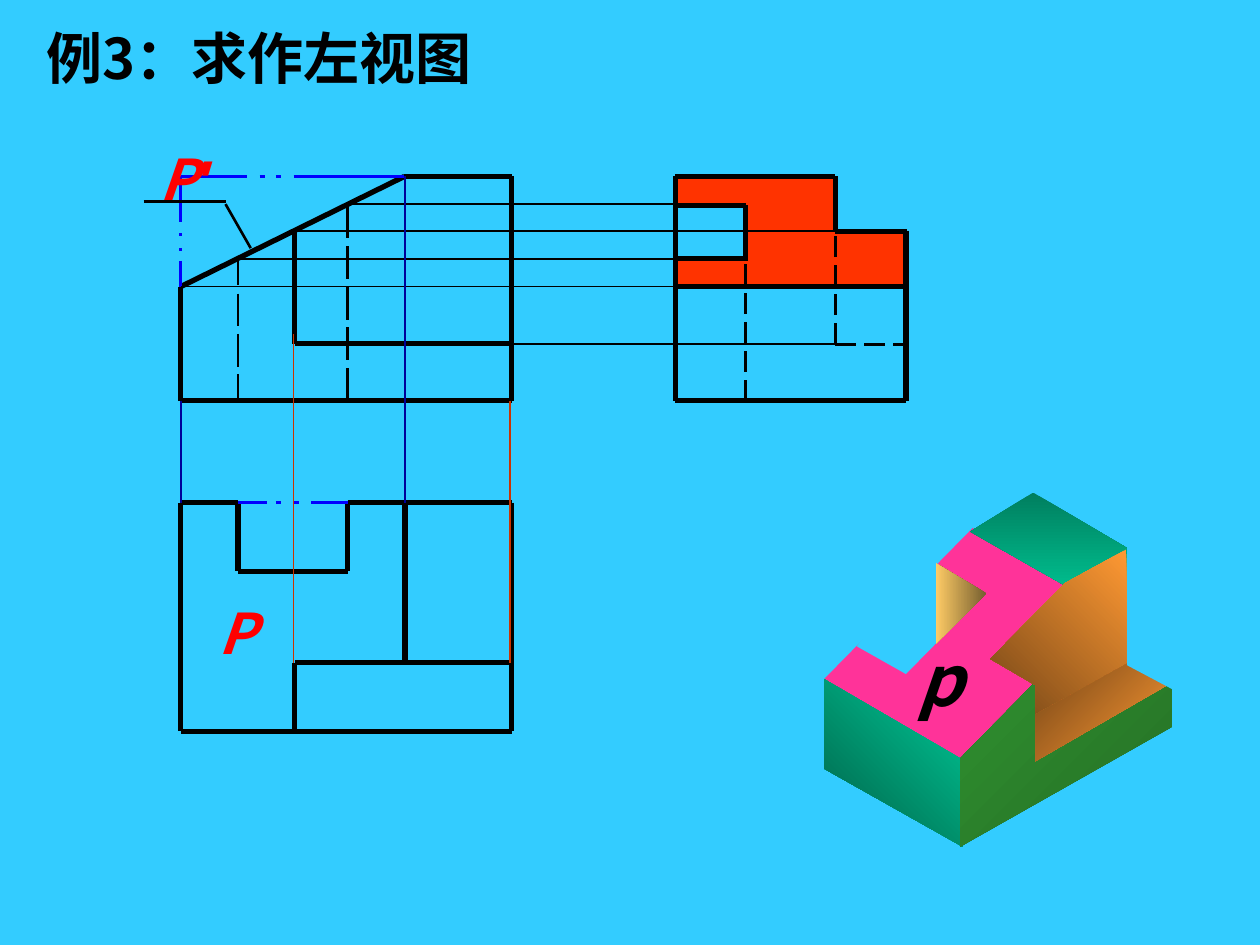
from lxml.etree import SubElement
from pptx import Presentation
from pptx.dml.color import RGBColor
from pptx.enum.dml import MSO_LINE
from pptx.enum.text import MSO_ANCHOR, MSO_AUTO_SIZE, PP_ALIGN
from pptx.oxml.ns import qn
from pptx.util import Inches, Pt

COLORS = {
    "background": "33CCFF", "ink": "000000", "label": "FF0000", "phantom": "0000FF",
    "blue_guide": "000099", "red_guide": "CC3300", "inclined_view": "FF3300",
    "inclined_face": "FF3399", "teal": "00CC99", "teal_shade": "007F5F",
    "teal_dark": "005E46", "green": "339933", "green_shade": "246E24",
    "gold": "FFCC66", "gold_shade": "755E2F", "orange": "FF9933",
    "orange_shade": "754617",
}
FONT = "Noto Sans CJK SC"
COLUMNS, ROWS = 100, 75
THICK, MEDIUM, THIN = 3, 1.5, 1
LEFT_EDGE = 14.35


def color(name):
    return RGBColor.from_string(COLORS[name])


def write(paragraph, text, size=32, fill="ink", font=FONT, italic=False):
    run = paragraph.add_run()
    run.text = text
    run.font.size = Pt(size)
    run.font.bold = True
    run.font.italic = italic
    run.font.name = font
    run.font.color.rgb = color(fill)
    SubElement(run.font._element, qn("a:ea")).set("typeface", font)


class Drawing:
    def __init__(self, presentation):
        self.slide = presentation.slides.add_slide(presentation.slide_layouts[5])
        self.column = presentation.slide_width / COLUMNS
        self.row = presentation.slide_height / ROWS
        self.slide.background.fill.solid()
        self.slide.background.fill.fore_color.rgb = color("background")

    def point(self, x, y):
        return round(x * self.column), round(y * self.row)

    def frame(self, shape, alignment):
        text_frame = shape.text_frame
        text_frame.word_wrap = False
        text_frame.auto_size = MSO_AUTO_SIZE.NONE
        text_frame.vertical_anchor = MSO_ANCHOR.MIDDLE
        paragraph = text_frame.paragraphs[0]
        paragraph.alignment = alignment
        return paragraph

    def title(self, text, x, y, width, height):
        shape = self.slide.shapes.title
        shape.left, shape.top = self.point(x, y)
        shape.width, shape.height = self.point(width, height)
        write(self.frame(shape, PP_ALIGN.LEFT), text)

    def label(self, x, y, width, height, text, suffix="", **style):
        shape = self.slide.shapes.add_textbox(*self.point(x, y), *self.point(width, height))
        paragraph = self.frame(shape, PP_ALIGN.CENTER)
        write(paragraph, text, italic=True, **style)
        if suffix:
            write(paragraph, suffix, italic=True, font="Arial", **style)

    def line(self, x1, y1, x2, y2, width=THICK, stroke="ink", dash=None):
        connector = self.slide.shapes.add_connector(1, *self.point(x1, y1), *self.point(x2, y2))
        connector.line.width = Pt(width)
        connector.line.color.rgb = color(stroke)
        if dash:
            connector.line.dash_style = dash
        SubElement(connector._element.spPr, qn("a:effectLst"))

    def lines(self, segments, **style):
        for segment in segments:
            self.line(*segment, **style)

    def across(self, y, spans, **style):
        self.lines([(start, y, end, y) for start, end in spans], **style)

    def down(self, x, spans, **style):
        self.lines([(x, start, x, end) for start, end in spans], **style)

    def face(self, points, first, last=None, angle=0):
        corners = [self.point(*corner) for corner in points]
        builder = self.slide.shapes.build_freeform(*corners[0])
        builder.add_line_segments(corners[1:], close=True)
        shape = builder.convert_to_shape()
        shape.shadow.inherit = False
        shape.line.fill.background()
        if last is None:
            shape.fill.solid()
            shape.fill.fore_color.rgb = color(first)
            return
        shape.fill.gradient()
        shape.fill.gradient_angle = 360 - angle
        for stop, name in zip(shape.fill.gradient_stops, (first, last)):
            stop.color.rgb = color(name)


def draw_front_view(drawing):
    drawing.lines([
        (23.4, 27.25, 40.6, 27.25), (LEFT_EDGE, 31.8, 40.6, 31.8),
        (32.1, 14, LEFT_EDGE, 22.75), (23.4, 27.3, 23.4, 18.3),
        (LEFT_EDGE, 31.8, LEFT_EDGE, 22.75), (40.6, 31.8, 40.6, 14), (40.6, 14, 32.1, 14),
    ])
    slot_dashes = [(16.3 + 3.23 * index, 18.9 + 3.23 * index) for index in range(5)]
    drawing.down(27.6, slot_dashes, width=MEDIUM)
    drawing.down(18.9, [(20.5, 22.6), (23.3, 25.9), (26.5, 29.1), (29.7, 31.8)], width=MEDIUM)
    phantom = {"width": MEDIUM, "stroke": "phantom"}
    drawing.across(14, [(LEFT_EDGE, 19.6), (20.6, 21), (21.9, 22.3), (23.3, 32.1)], **phantom)
    drawing.down(LEFT_EDGE, [(14, 17.6), (18.5, 18.7), (19.7, 19.9), (20.7, 22.8)], **phantom)


def draw_top_view(drawing):
    drawing.lines([
        (27.6, 39.9, 40.6, 39.9), (23.4, 52.6, 40.6, 52.6), (LEFT_EDGE, 58.05, 40.6, 58.05),
        (23.4, 52.6, 23.4, 58), (LEFT_EDGE, 39.9, LEFT_EDGE, 58), (27.6, 39.9, 27.6, 45.3),
        (18.9, 39.9, 18.9, 45.3), (18.9, 45.35, 27.6, 45.35),
        (LEFT_EDGE, 39.9, 18.9, 39.9), (40.6, 39.9, 40.6, 58), (32.15, 39.9, 32.15, 52.6),
    ])
    drawing.across(39.9, [(18.9, 21.2), (21.9, 22.3), (23.3, 23.7), (24.7, 27.6)],
                   width=MEDIUM, stroke="phantom")


def draw_left_view(drawing):
    drawing.face([(53.6, 14.1), (66.1, 14.2), (66.4, 18.3), (72, 18.3), (72, 22.8),
                  (53.6, 22.8), (53.6, 20.6), (59.2, 20.7), (59.2, 16.2), (53.6, 16.2)],
                 "inclined_view")
    drawing.lines([(59.15, 31.8, 59.15, 20.5), (66.3, 27.3, 66.3, 18.3),
                   (66.3, 27.32, 71.9, 27.32)], width=MEDIUM, dash=MSO_LINE.LONG_DASH)
    drawing.lines([
        (53.6, 14, 66.3, 14), (66.3, 14, 66.3, 18.3), (66.3, 18.4, 72, 18.4),
        (71.9, 18.3, 71.9, 31.8), (71.9, 31.8, 53.6, 31.8), (53.6, 31.8, 53.6, 14),
        (53.6, 16.3, 59.2, 16.3), (59.15, 16.3, 59.15, 20.7), (59.2, 20.5, 53.6, 20.5),
        (53.6, 22.75, 71.9, 22.75),
    ])


def draw_solid(drawing):
    drawing.face([(77.2, 41.9), (88.3, 48.3), (76.2, 60.4), (65.4, 53.9)], "inclined_face")
    drawing.face([(77, 42.2), (82, 39.1), (93, 45.6), (88.1, 48.5)], "teal_shade", "teal", 90)
    drawing.face([(65.4, 53.9), (65.4, 61), (76.4, 67.2), (76.4, 60.3)], "teal", "teal_dark", 135)
    drawing.face([(87.9, 48.3), (93, 45.6), (93, 57.7), (76.2, 67.2), (76.2, 60.2)],
                 "green_shade", "green", 225)
    drawing.face([(73.5, 44.2), (77.9, 47.4), (71.9, 53.5), (68, 51.3)], "background")
    drawing.face([(74.25, 44.7), (74.25, 51.1), (78.3, 47.1)], "gold_shade", "gold", 180)
    drawing.face([(89.4, 43.6), (89.4, 52.7), (82.2, 56.7), (82.2, 54.4), (78.6, 52.3),
                  (84.5, 46.3)], "orange", "orange_shade", 135)
    drawing.face([(82.2, 56.7), (82.2, 60.4), (92.6, 54.4), (89.6, 52.6)],
                 "orange", "orange_shade", 225)
    drawing.face([(89.45, 43.4), (89.45, 52.8), (93.6, 55), (93.6, 44.5), (91.5, 43.3)],
                 "background")


def draw_projection_lines(drawing):
    drawing.lines([(27.6, 16.2, 53.6, 16.2), (18.9, 20.53, 53.6, 20.53),
                   (23.3, 18.32, 66.8, 18.32), (40.1, 27.3, 66.8, 27.3),
                   (LEFT_EDGE, 22.75, 53.6, 22.75)], width=THIN)
    drawing.lines([(32.15, 14, 32.15, 39.9), (LEFT_EDGE, 31.8, LEFT_EDGE, 39.9)],
                  width=THIN, stroke="blue_guide")
    drawing.lines([(23.3, 26.5, 23.3, 52.6), (40.5, 31.8, 40.5, 52.6)],
                  width=THIN, stroke="red_guide")


def draw_labels(drawing):
    drawing.label(71.95, 50, 5.3, 7.7, "p", size=40)
    drawing.label(16.5, 47, 4.7, 6.4, "P", fill="label")
    drawing.label(11.6, 10.9, 6.2, 6.4, "P", suffix="′", fill="label")
    drawing.lines([(17.9, 16.2, 19.9, 19.7), (11.4, 16, 17.9, 16)], width=MEDIUM)


def main():
    presentation = Presentation()
    presentation.slide_width, presentation.slide_height = Inches(10), Inches(7.5)
    drawing = Drawing(presentation)
    drawing.title("例3：求作左视图", 2.7, 1.3, 42, 6.4)
    draw_front_view(drawing)
    draw_top_view(drawing)
    draw_left_view(drawing)
    draw_solid(drawing)
    draw_labels(drawing)
    draw_projection_lines(drawing)
    presentation.save("out.pptx")


if __name__ == "__main__":
    main()
